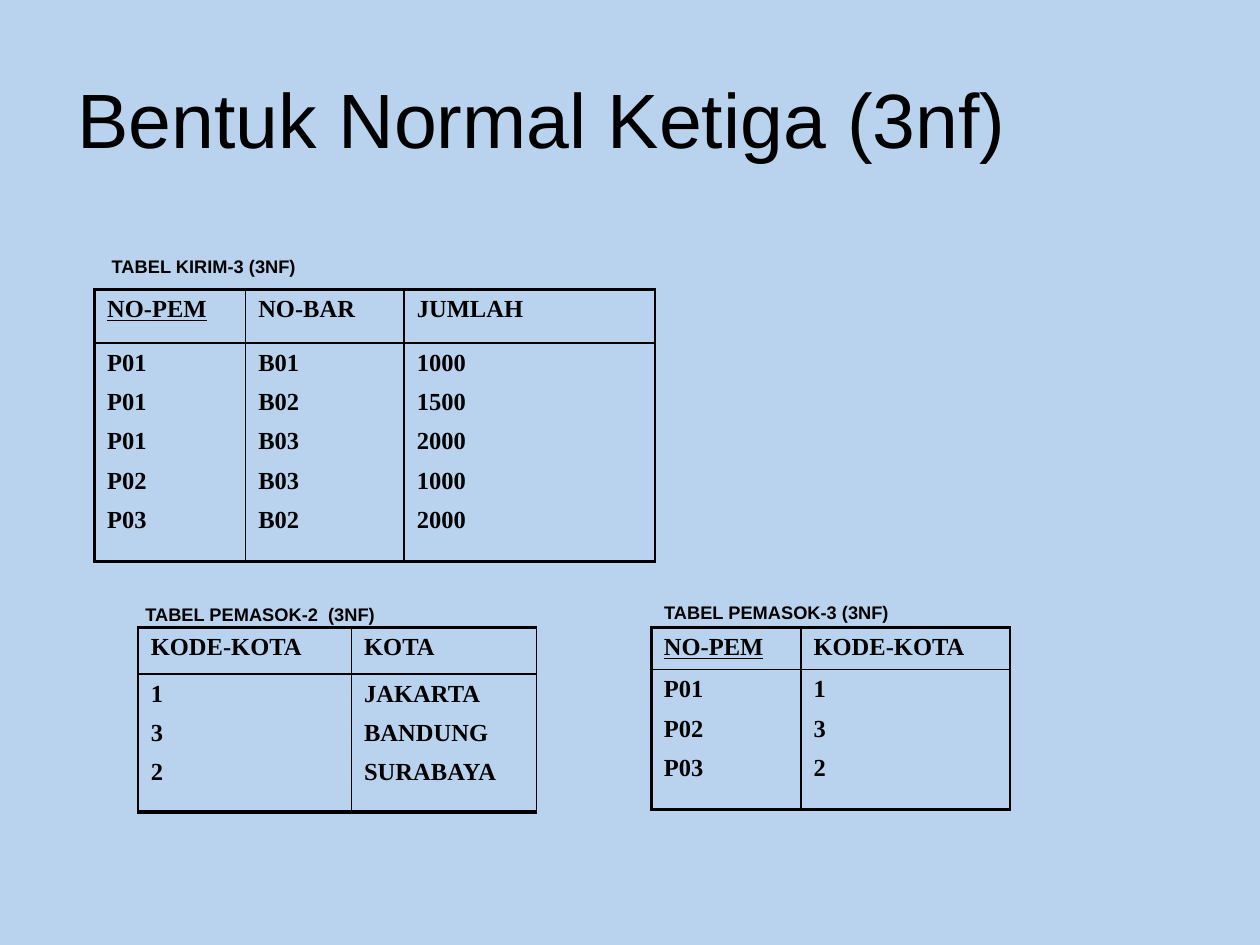
from lxml import etree
from pptx import Presentation
from pptx.dml.color import RGBColor
from pptx.enum import text
from pptx.oxml.ns import qn
from pptx.util import Pt

INK = "000000"
THICK, THIN, NONE = 2.25, 1, 0


def colour(hex_string):
    """Return the colour for a hex string."""
    return RGBColor.from_string(hex_string)


def format_font(font, face, size, bold=False):
    """Set face, size, weight and ink colour of a font."""
    font.name, font.size, font.bold = face, Pt(size), bold
    font.color.rgb = colour(INK)


def place_title(slide, wording, left, top, width, height):
    """Move, fill and format the title placeholder."""
    title = slide.shapes.title
    title.left, title.top, title.width, title.height = map(Pt, (left, top, width, height))
    title.text_frame.text = wording
    title.text_frame.vertical_anchor = text.MSO_ANCHOR.MIDDLE
    heading = title.text_frame.paragraphs[0]
    heading.alignment = text.PP_ALIGN.LEFT
    format_font(heading.runs[0].font, "Arial", 44)


def place_caption(slide, wording, left, top, width):
    """Add a lowered bold caption that does not wrap."""
    caption = slide.shapes.add_textbox(Pt(left), Pt(top), Pt(width), Pt(21.6))
    frame = caption.text_frame
    frame.word_wrap = False
    frame.auto_size = text.MSO_AUTO_SIZE.SHAPE_TO_FIT_TEXT
    frame.text = wording
    frame.paragraphs[0].alignment = text.PP_ALIGN.CENTER
    run = frame.paragraphs[0].runs[0]
    format_font(run.font, "Arial", 18, bold=True)
    run._r.get_or_add_rPr().set("baseline", "-25000")


def style_cell(cell, widths):
    """Clear a cell's fill and draw its left, right, top and bottom borders."""
    properties = cell._tc.get_or_add_tcPr()
    for side, width in zip("LRTB", widths):
        line = etree.SubElement(properties, qn(f"a:ln{side}"), w=str(Pt(width)))
        if width:
            fill = etree.SubElement(line, qn("a:solidFill"))
            etree.SubElement(fill, qn("a:srgbClr"), val=INK)
        else:
            etree.SubElement(line, qn("a:noFill"))
    cell.fill.background()


def fill_cell(cell, entries, underline):
    """Write one paragraph for each entry of a cell."""
    cell.text_frame.text = "\n".join(entries)
    for index, paragraph in enumerate(cell.text_frame.paragraphs):
        if index:
            paragraph.space_before = Pt(7)
        font = paragraph.runs[0].font
        format_font(font, "Times New Roman", 14, bold=True)
        font.underline = underline


def place_relation(slide, left, top, columns, widths, heights, caption,
                   caption_box, key=None, left_border=THICK, first=0):
    """Add a captioned relation whose columns start at first, between merged margins."""
    caption_left, caption_top, caption_width = caption_box
    frame = slide.shapes.add_table(2, len(widths), Pt(left), Pt(top),
                                   Pt(sum(widths)), Pt(sum(heights)))
    relation = frame.table
    relation.first_row = relation.horz_banding = False
    for row, height in zip(relation.rows, heights):
        row.height = Pt(height)
    for column, width in zip(relation.columns, widths):
        column.width = Pt(width)
    last = first + len(columns) - 1
    for index, (heading, values) in enumerate(columns.items(), first):
        start = left_border if index == first else THIN
        for row, entries in enumerate(([heading], values)):
            cell = relation.cell(row, index)
            edges = (THIN, THICK) if row else (THICK, THIN)
            style_cell(cell, (start, THIN, *edges))
            fill_cell(cell, entries, row == 0 and heading == key)
    for index in (*range(first), *range(last + 1, len(widths))):
        start = THIN if index == last + 1 else NONE
        end = THIN if index == first - 1 else NONE
        for row in range(2):
            style_cell(relation.cell(row, index), (start, end, NONE, NONE))
        relation.cell(0, index).merge(relation.cell(1, index))
    place_caption(slide, caption, left + caption_left, top + caption_top, caption_width)


def main():
    """Build and save the slide."""
    deck = Presentation()
    deck.slide_width, deck.slide_height = Pt(720), Pt(540)
    slide = deck.slides.add_slide(deck.slide_layouts[5])
    slide.background.fill.solid()
    slide.background.fill.fore_color.rgb = colour("B9D3EE")

    place_title(slide, "Bentuk Normal Ketiga (3nf)", 37.2, 22.5, 682.8, 90)
    place_relation(
        slide, 54, 165.5,
        {"NO-PEM": ["P01", "P01", "P01", "P02", "P03"],
         "NO-BAR": ["B01", "B02", "B03", "B03", "B02"],
         "JUMLAH": ["1000", "1500", "2000", "1000", "2000"]},
        (86.4, 90.6, 143.4, 69, 80.8), (30.5, 125),
        "TABEL KIRIM-3 (3NF)", (-6.1, -35, 137), key="NO-PEM")
    place_relation(
        slide, 372.2, 358.6,
        {"NO-PEM": ["P01", "P02", "P03"], "KODE-KOTA": ["1", "3", "2"]},
        (85.5, 119.5, 66.5, 55.4), (21, 80),
        "TABEL PEMASOK-3 (3NF)", (-10.2, -30.6, 163.4), key="NO-PEM")
    place_relation(
        slide, 0, 358.6,
        {"KODE-KOTA": ["1", "3", "2"],
         "KOTA": ["JAKARTA", "BANDUNG", "SURABAYA"]},
        (79, 121.9, 105.8, 16.6, 65.5), (26.6, 78.8),
        "TABEL PEMASOK-2  (3NF)", (65.5, -29.6, 166.3), left_border=THIN, first=1)
    deck.save("out.pptx")


if __name__ == "__main__":
    main()
